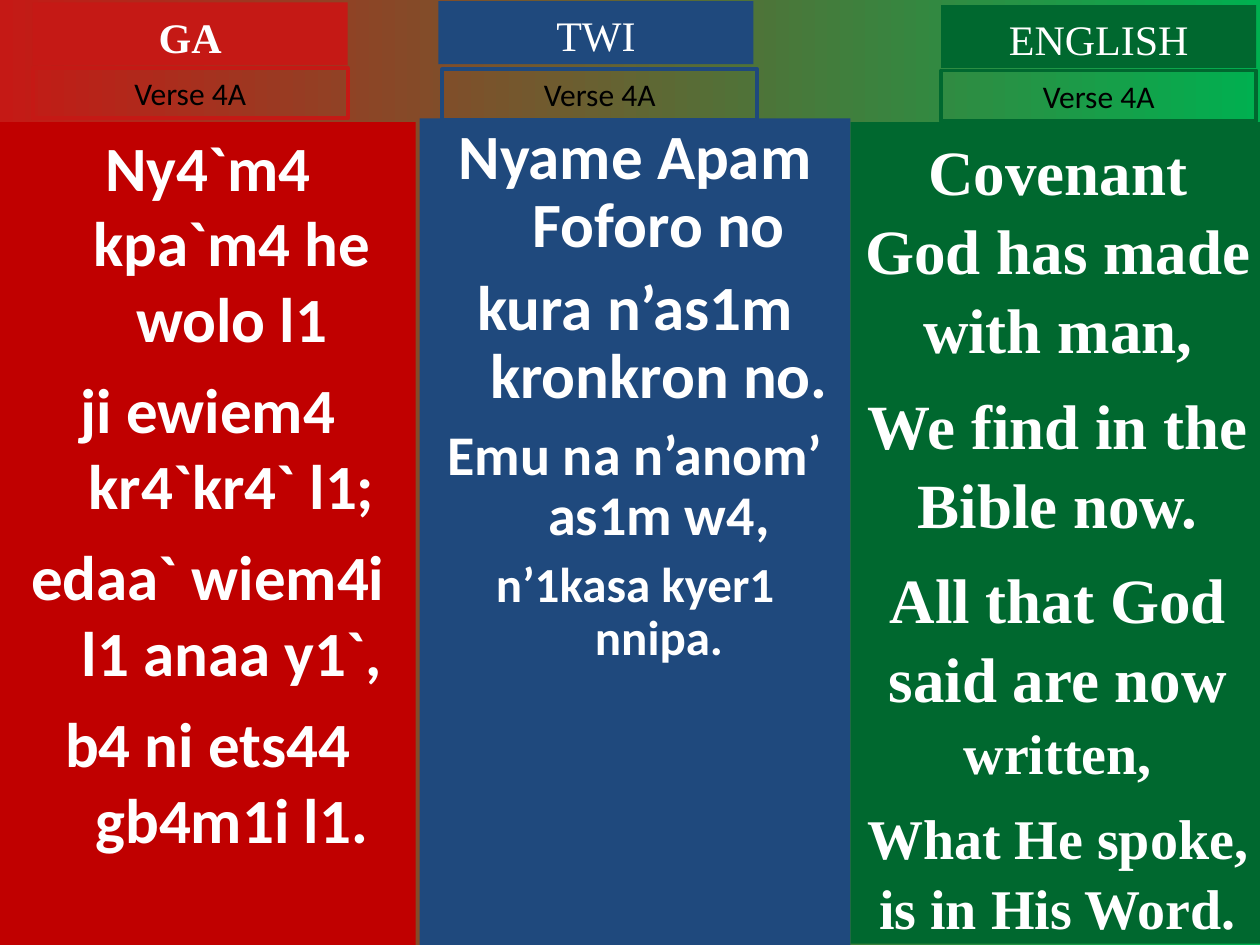
from dataclasses import dataclass

from pptx import Presentation
from pptx.dml.color import RGBColor
from pptx.enum.shapes import MSO_SHAPE as Shape
from pptx.enum.text import MSO_ANCHOR as Anchor, MSO_AUTO_SIZE as AutoSize, PP_ALIGN as Align
from pptx.util import Inches, Pt


@dataclass(frozen=True)
class Theme:
    red: str = "C51915"
    deep_red: str = "C00000"
    blue: str = "1F497D"
    green: str = "00682F"
    light_green: str = "00B050"
    white: str = "FFFFFF"
    black: str = "000000"
    sans: str = "Calibri"
    serif: str = "Times New Roman"
    heading: int = 24
    verse: int = 18
    large: int = 36
    medium: int = 32
    small: int = 28
    outline: float = 2.25
    hanging: float = 0.38
    serif_spacing: float = 1.05


THEME = Theme()


@dataclass(frozen=True)
class Language:
    """One column; boxes are (left, top, width, height), lines are lists of (text, size) runs."""
    name: str
    accent: str
    panel_fill: str
    panel_box: tuple
    heading_at: tuple
    verse_at: tuple
    lines: list
    font: str = THEME.sans
    spacing: float = 1.0
    hanging: float = THEME.hanging
    bold_heading: bool = False


LANGUAGES = [
    Language("GA", THEME.red, THEME.deep_red, (0, 0.97, 3.3, 6.53), (0.26, 0.02), (0.26, 0.54),
             [[("Ny4`m4 kpa`m4 he wolo l1", THEME.large)],
              [("ji ewiem4 kr4`kr4` l1;", THEME.large)],
              [("edaa` wiem4i l1 anaa y1`,", THEME.large)],
              [("b4 ni ets44 gb4m1i l1.", THEME.large)]],
             bold_heading=True),
    Language("TWI", THEME.blue, THEME.blue, (3.33, 0.94, 3.42, 6.56), (3.48, 0.01), (3.51, 0.55),
             [[("Nyame Apam Foforo no", THEME.large)],
              [("kura n’as1m kronkron no.", THEME.large)],
              [("Emu na n’anom’ as1m w4,", THEME.medium)],
              [("n’1kasa kyer1 nnipa.", THEME.small)]],
             spacing=0.9),
    Language("ENGLISH", THEME.green, THEME.green, (6.75, 0.97, 3.29, 6.52), (7.47, 0.04), (7.47, 0.56),
             [[("Covenant God has made with man,", THEME.large)],
              [("We find in the Bible now.", THEME.large)],
              [("All that God said are now ", THEME.large), ("written,", THEME.medium)],
              [("What He spoke, is in His Word.", THEME.medium)]],
             font=THEME.serif, spacing=THEME.serif_spacing, hanging=0),
]


def add_box(slide, box, fill=None, outline=None):
    shape = slide.shapes.add_shape(Shape.RECTANGLE, *map(Inches, box))
    shape.shadow.inherit = False
    if fill:
        shape.fill.solid()
        shape.fill.fore_color.rgb = RGBColor.from_string(fill)
    else:
        shape.fill.background()
    if outline:
        shape.line.color.rgb = RGBColor.from_string(outline)
        shape.line.width = Pt(THEME.outline)
    else:
        shape.line.fill.background()
    shape.text_frame.word_wrap = True
    shape.text_frame.vertical_anchor = Anchor.TOP
    return shape.text_frame


def style(paragraph, font, color, bold, spacing=1.0):
    paragraph.alignment = Align.CENTER
    paragraph.line_spacing = spacing
    paragraph.font.name = font
    paragraph.font.bold = bold
    paragraph.font.color.rgb = RGBColor.from_string(color)


def add_label(frame, text, size, font, color, bold=False, spacing=1.0):
    frame.auto_size = AutoSize.SHAPE_TO_FIT_TEXT
    label = frame.paragraphs[0]
    label.text = text
    style(label, font, color, bold, spacing)
    label.font.size = Pt(size)


def add_lyrics(slide, language):
    frame = add_box(slide, language.panel_box, fill=language.panel_fill)
    for index, runs in enumerate(language.lines):
        line = frame.add_paragraph() if index else frame.paragraphs[0]
        properties = line._p.get_or_add_pPr()
        properties.set("marL", str(Inches(language.hanging)))
        properties.set("indent", str(-Inches(language.hanging)))
        style(line, language.font, THEME.white, True, language.spacing)
        if index:
            line.space_before = Pt(runs[0][1] // 4)
        for text, size in runs:
            run = line.add_run()
            run.text = text
            run.font.size = Pt(size)


def add_header(slide, language):
    heading = add_box(slide, (*language.heading_at, 2.5, 0.5), fill=language.accent)
    add_label(heading, language.name, THEME.heading, THEME.serif, THEME.white,
              language.bold_heading, THEME.serif_spacing)
    verse = add_box(slide, (*language.verse_at, 2.5, 0.4), outline=language.accent)
    add_label(verse, "Verse 4A", THEME.verse, THEME.sans, THEME.black)


def paint_background(slide):
    fill = slide.background.fill
    fill.gradient()
    fill.gradient_angle = 0
    for stop, color in zip(fill.gradient_stops, (THEME.red, THEME.light_green)):
        stop.color.rgb = RGBColor.from_string(color)


def main():
    deck = Presentation()
    deck.slide_width, deck.slide_height = Inches(10), Inches(7.5)
    slide = deck.slides.add_slide(deck.slide_layouts[6])
    paint_background(slide)
    for language in LANGUAGES:
        add_lyrics(slide, language)
        add_header(slide, language)
    deck.save("out.pptx")


if __name__ == "__main__":
    main()
